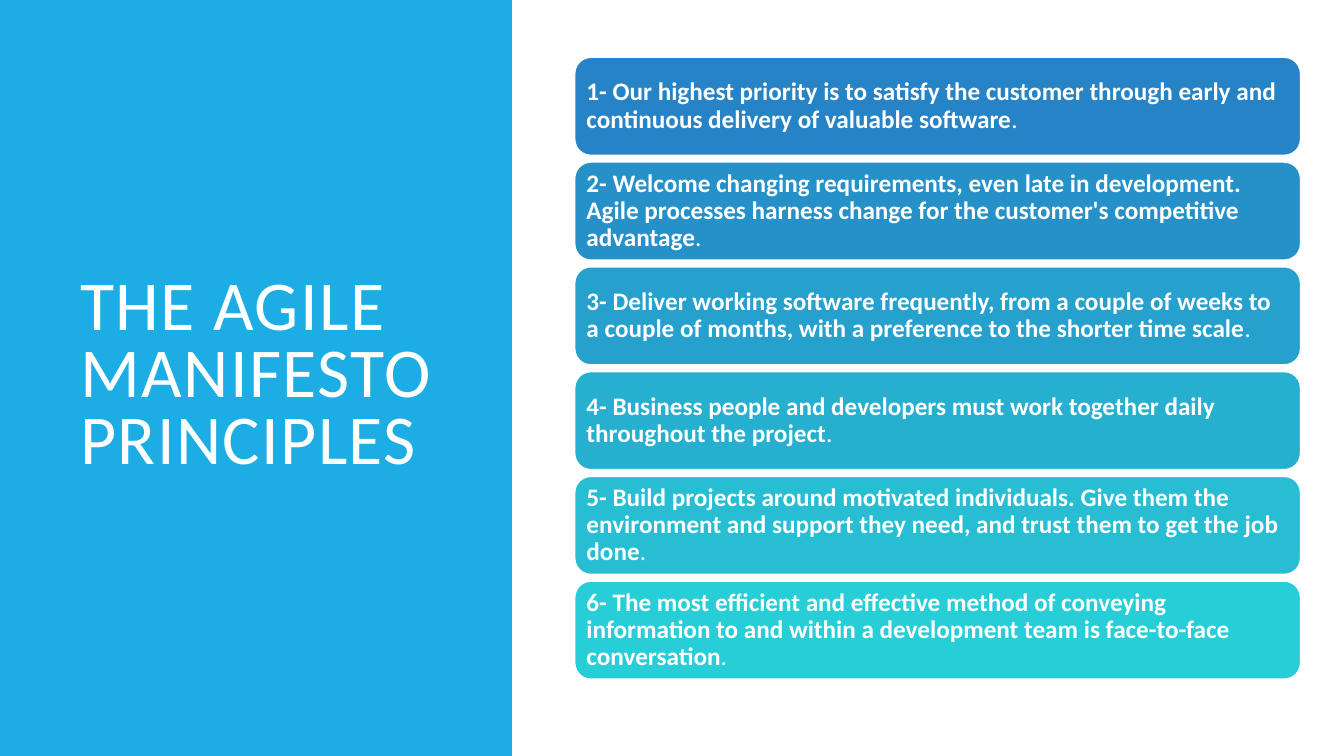
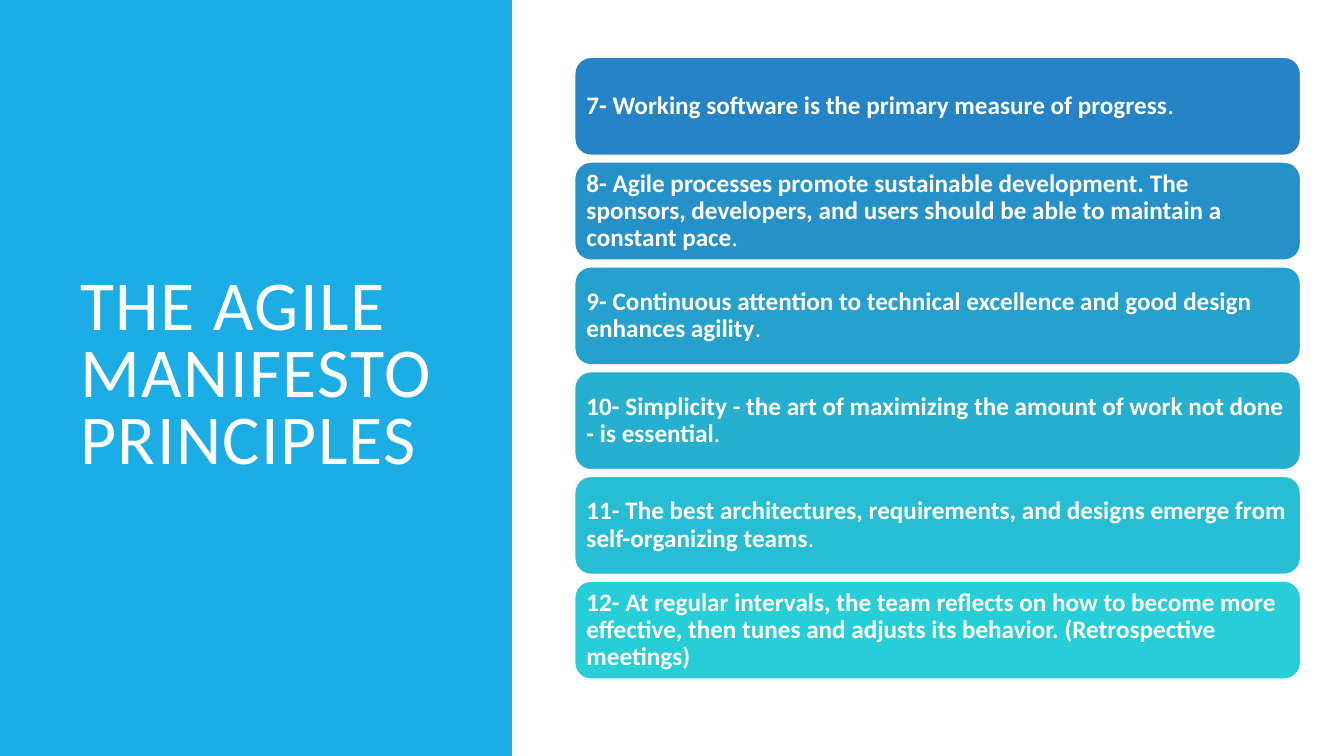
from pptx import Presentation
from pptx.dml.color import RGBColor
from pptx.enum.shapes import MSO_SHAPE
from pptx.enum.text import MSO_ANCHOR, PP_ALIGN
from pptx.oxml.ns import qn
from pptx.util import Cm, Pt

WHITE = RGBColor(0xFF, 0xFF, 0xFF)
PANEL_BLUE = RGBColor(0x1C, 0xAD, 0xE4)
CARD_COLOURS = [
    RGBColor(0x26, 0x83, 0xC6),
    RGBColor(0x26, 0x91, 0xC9),
    RGBColor(0x26, 0xA0, 0xCD),
    RGBColor(0x27, 0xAF, 0xD0),
    RGBColor(0x27, 0xBE, 0xD4),
    RGBColor(0x27, 0xCE, 0xD7),
]

PAGE_WIDTH, PAGE_HEIGHT = Cm(33.87), Cm(19.05)
PANEL_WIDTH = Cm(12.9)
CARD_LEFT, CARD_TOP = Cm(14.48), Cm(1.44)
CARD_WIDTH, CARD_HEIGHT = Cm(18.3), Cm(2.48)
CARD_PITCH = Cm(2.64)
CARD_INSET = Cm(0.18)

TITLE = "THE AGILE MANIFESTO PRINCIPLES"
TITLE_FONT = {"name": "Calibri", "size": Pt(50)}
CARD_FONT = {"name": "Calibri", "size": Pt(18)}
TITLE_FRAME = {"word_wrap": True, "vertical_anchor": MSO_ANCHOR.MIDDLE}
CARD_FRAME = {
    **TITLE_FRAME,
    "margin_left": CARD_INSET,
    "margin_top": CARD_INSET,
    "margin_right": CARD_INSET,
    "margin_bottom": CARD_INSET,
}
TITLE_PARAGRAPH = {"alignment": PP_ALIGN.LEFT, "line_spacing": 0.8, "space_after": Pt(6)}
CARD_PARAGRAPH = {"alignment": PP_ALIGN.LEFT, "line_spacing": 0.9}

PRINCIPLES = [
    [
        "1- Our highest priority is to satisfy the customer through early and "
        "continuous delivery of valuable software.",
        "2- Welcome changing requirements, even late in development. Agile processes "
        "harness change for the customer's competitive advantage.",
        "3- Deliver working software frequently, from a couple of weeks to a couple "
        "of months, with a preference to the shorter time scale.",
        "4- Business people and developers must work together daily throughout the project.",
        "5- Build projects around motivated individuals. Give them the environment and "
        "support they need, and trust them to get the job done.",
        "6- The most efficient and effective method of conveying information to and "
        "within a development team is face-to-face conversation.",
    ],
    [
        "7- Working software is the primary measure of progress.",
        "8- Agile processes promote sustainable development. The sponsors, developers, "
        "and users should be able to maintain a constant pace.",
        "9- Continuous attention to technical excellence and good design enhances agility.",
        "10- Simplicity - the art of maximizing the amount of work not done - is essential.",
        "11- The best architectures, requirements, and designs emerge from "
        "self-organizing teams.",
        "12- At regular intervals, the team reflects on how to become more effective, "
        "then tunes and adjusts its behavior. (Retrospective meetings)",
    ],
]


def apply_format(target, values):
    for name, value in values.items():
        setattr(target, name, value)


def add_span(para, text, font, bold=False):
    span = para.add_run()
    span.text = text
    apply_format(span.font, {**font, "bold": bold})
    span.font.color.rgb = WHITE


def add_block(page, kind, left, top, width, height, colour):
    block = page.shapes.add_shape(kind, left, top, width, height)
    block.shadow.inherit = False
    block.fill.solid()
    block.fill.fore_color.rgb = colour
    return block


def add_panel(page):
    panel = add_block(page, MSO_SHAPE.RECTANGLE, 0, 0, PANEL_WIDTH, PAGE_HEIGHT, PANEL_BLUE)
    panel.line.fill.background()


def add_title(page):
    box = page.shapes.add_textbox(Cm(1.78), Cm(1.78), Cm(9.5), Cm(15.47))
    apply_format(box.text_frame, TITLE_FRAME)
    para = box.text_frame.paragraphs[0]
    apply_format(para, TITLE_PARAGRAPH)
    add_span(para, TITLE, TITLE_FONT)
    for properties in box.element.iter(qn("a:rPr")):
        properties.set("spc", "100")


def add_card(page, top, colour, principle):
    card = add_block(
        page, MSO_SHAPE.ROUNDED_RECTANGLE, CARD_LEFT, top, CARD_WIDTH, CARD_HEIGHT, colour
    )
    card.line.color.rgb = WHITE
    card.line.width = Pt(1.25)
    apply_format(card.text_frame, CARD_FRAME)
    para = card.text_frame.paragraphs[0]
    apply_format(para, CARD_PARAGRAPH)
    add_span(para, principle.removesuffix("."), CARD_FONT, bold=True)
    if principle.endswith("."):
        add_span(para, ".", CARD_FONT)


def add_principles_page(deck, principles):
    page = deck.slides.add_slide(deck.slide_layouts[6])
    add_panel(page)
    add_title(page)
    for row, (colour, principle) in enumerate(zip(CARD_COLOURS, principles)):
        add_card(page, CARD_TOP + row * CARD_PITCH, colour, principle)


def main():
    deck = Presentation()
    apply_format(deck, {"slide_width": PAGE_WIDTH, "slide_height": PAGE_HEIGHT})
    for principles in PRINCIPLES:
        add_principles_page(deck, principles)
    deck.save("out.pptx")


if __name__ == "__main__":
    main()
